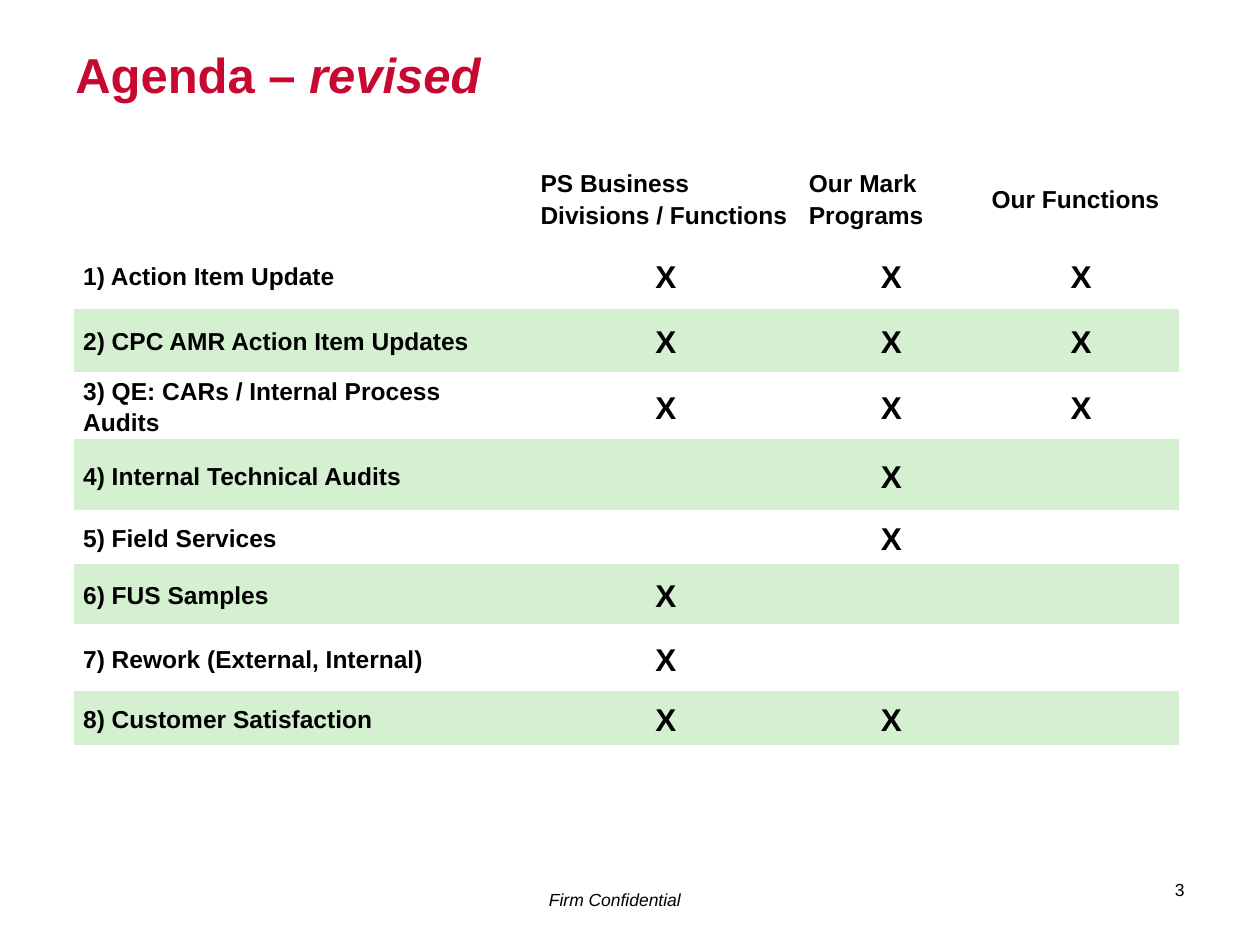
from dataclasses import dataclass

from pptx import Presentation
from pptx.dml.color import RGBColor
from pptx.enum.text import MSO_ANCHOR, PP_ALIGN
from pptx.oxml.ns import qn
from pptx.util import Inches, Pt

LEFT, CENTER, RIGHT = PP_ALIGN.LEFT, PP_ALIGN.CENTER, PP_ALIGN.RIGHT
TOP, MIDDLE = MSO_ANCHOR.TOP, MSO_ANCHOR.MIDDLE
NO_STYLE = "{2D5ABB26-0587-4C30-8999-92F81FD0307C}"


@dataclass(frozen=True)
class Theme:
    """Colours and type sizes of the slide."""
    font: str = "Arial"
    ink: RGBColor = RGBColor(0x00, 0x00, 0x00)
    accent: RGBColor = RGBColor(0xC7, 0x09, 0x32)
    band: RGBColor = RGBColor(0xD5, 0xF0, 0xD1)
    title: int = 28
    mark: int = 18
    label: int = 14
    small: int = 10


THEME = Theme()
COLUMNS = (3.63, 2.13, 1.45, 1.56)
ROWS = (0.68, 0.54, 0.5, 0.52, 0.56, 0.43, 0.48, 0.53, 0.43, 0.49)
HEADERS = ("", "PS Business \vDivisions / Functions", "Our Mark Programs", "Our Functions")
AGENDA = (
    ("1) Action Item Update", "X", "X", "X"),
    ("2) CPC AMR Action Item Updates", "X", "X", "X"),
    ("3) QE: CARs / Internal Process Audits", "X", "X", "X"),
    ("4) Internal Technical Audits", "", "X", ""),
    ("5) Field Services", "", "X", ""),
    ("6) FUS Samples", "X", "", ""),
    ("7) Rework (External, Internal)", "X", "", ""),
    ("8) Customer Satisfaction", "X", "X", ""),
)


def style_font(font, size, color=THEME.ink, bold=False):
    """Apply the theme typeface with a size, colour and weight."""
    font.name = THEME.font
    font.size = Pt(size)
    font.color.rgb = color
    font.bold = bold


def add_text(page, box, align=LEFT, anchor=TOP, wrap=True):
    """Add an empty text box and return its first paragraph."""
    frame = page.shapes.add_textbox(*map(Inches, box)).text_frame
    frame.word_wrap = wrap
    frame.vertical_anchor = anchor
    para = frame.paragraphs[0]
    para.alignment = align
    return para


def add_title(page, box):
    """Place the title with its italic ending."""
    para = add_text(page, box)
    para.add_run().text = "Agenda – "
    revised = para.add_run()
    revised.text = "revised"
    revised.font.italic = True
    style_font(para.font, THEME.title, THEME.accent, bold=True)


def fill_cell(cell, text, banded):
    """Set one cell's background, margins and text."""
    if banded:
        cell.fill.solid()
        cell.fill.fore_color.rgb = THEME.band
    else:
        cell.fill.background()
    cell.margin_left = cell.margin_right = Inches(0.07)
    cell.margin_top = cell.margin_bottom = 0
    cell.vertical_anchor = MIDDLE
    if text:
        is_mark = text == "X"
        cell.text = text
        para = cell.text_frame.paragraphs[0]
        para.alignment = CENTER if is_mark else LEFT
        para.line_spacing = 1.15
        style_font(para.font, THEME.mark if is_mark else THEME.label, bold=True)


def add_agenda(page, box):
    """Place the agenda table with every second item banded."""
    table = page.shapes.add_table(len(ROWS), len(COLUMNS), *map(Inches, box)).table
    table.first_row = table.horz_banding = False
    table._tbl.tblPr.find(qn("a:tableStyleId")).text = NO_STYLE
    for column, width in zip(table.columns, COLUMNS):
        column.width = Inches(width)
    blank = ("",) * len(COLUMNS)
    for index, (row, texts) in enumerate(zip(table.rows, (HEADERS, *AGENDA, blank))):
        row.height = Inches(ROWS[index])
        banded = index > 0 and index % 2 == 0
        for cell, text in zip(row.cells, texts):
            fill_cell(cell, text, banded)


def add_footer(page, notice_box, number_box):
    """Place the confidentiality notice and the page number."""
    notice = add_text(page, notice_box, CENTER, wrap=False)
    notice.text = "Firm Confidential"
    notice.font.italic = True
    number = add_text(page, number_box, RIGHT, MIDDLE)
    number.text = "3"
    for para in (notice, number):
        style_font(para.font, THEME.small)


def main():
    """Build and save the deck."""
    deck = Presentation()
    deck.slide_width, deck.slide_height = Inches(10), Inches(7.5)
    page = deck.slides.add_slide(deck.slide_layouts[6])
    add_footer(page, (4.16, 7.01, 1.44, 0.27), (8.8, 6.86, 0.7, 0.4))
    add_title(page, (0.5, 0.3, 9, 1.25))
    add_agenda(page, (0.59, 1.23, sum(COLUMNS), sum(ROWS)))
    deck.save("out.pptx")


if __name__ == "__main__":
    main()
